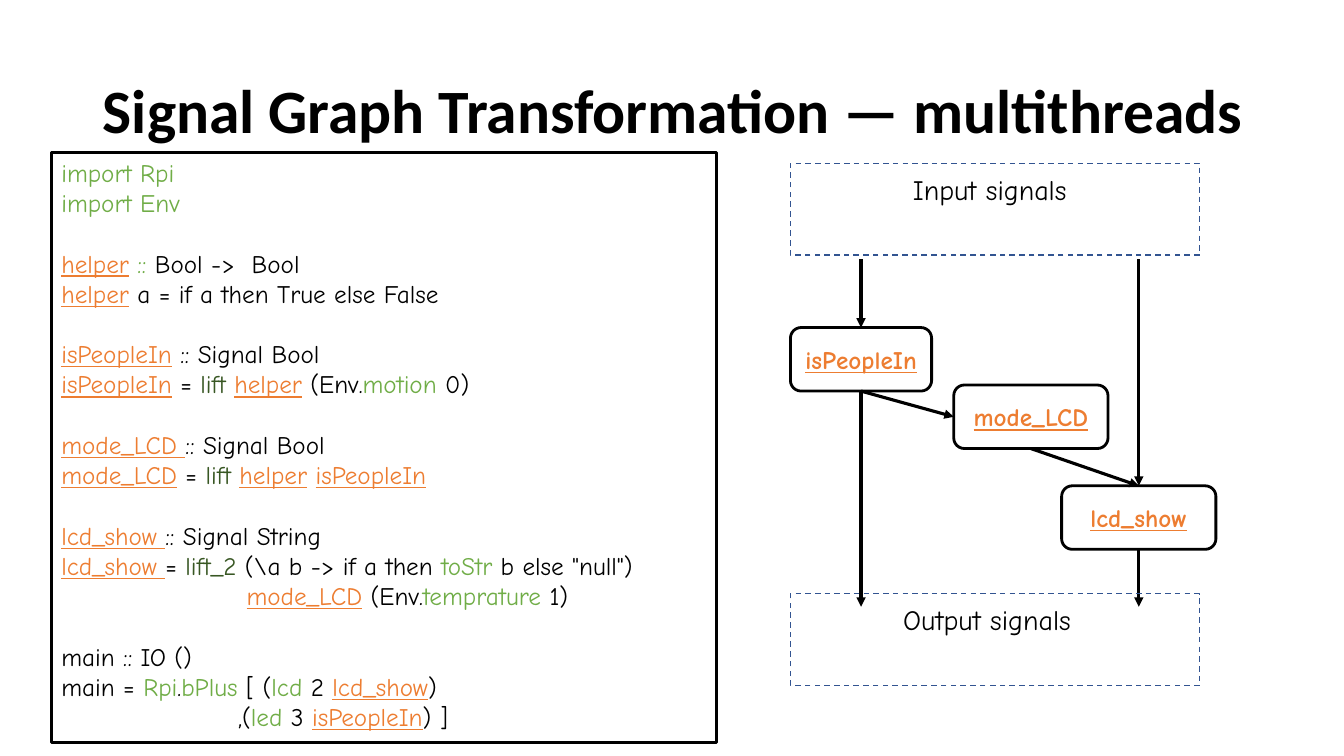
from lxml import etree
from pptx import Presentation
from pptx.dml.color import RGBColor
from pptx.enum.dml import MSO_LINE
from pptx.enum.shapes import MSO_CONNECTOR, MSO_SHAPE
from pptx.enum.text import MSO_ANCHOR, MSO_AUTO_SIZE, PP_ALIGN
from pptx.oxml.ns import qn
from pptx.util import Inches, Pt

RECT, ROUND = MSO_SHAPE.RECTANGLE, MSO_SHAPE.ROUNDED_RECTANGLE
STRAIGHT, DASH = MSO_CONNECTOR.STRAIGHT, MSO_LINE.DASH
LEFT, CENTER = PP_ALIGN.LEFT, PP_ALIGN.CENTER
TOP, MIDDLE = MSO_ANCHOR.TOP, MSO_ANCHOR.MIDDLE
NO_FIT, GROW = MSO_AUTO_SIZE.NONE, MSO_AUTO_SIZE.SHAPE_TO_FIT_TEXT

BLACK = RGBColor(0x00, 0x00, 0x00)
WHITE = RGBColor(0xFF, 0xFF, 0xFF)
ORANGE = RGBColor(0xED, 0x7D, 0x31)
GREEN = RGBColor(0x70, 0xAD, 0x47)
DARK_GREEN = RGBColor(0x38, 0x57, 0x23)
NAVY = RGBColor(0x32, 0x54, 0x91)
CODE_FONT = "Comic Neue"
CELL = Inches(1) / 12

CODE = [
    [[("import Rpi", GREEN)],
     [("import Env", GREEN)]],
    [[("helper", ORANGE), (" :: ", GREEN), ("Bool ->  Bool", BLACK)],
     [("helper", ORANGE), (" a = if a then True else False", BLACK)]],
    [[("isPeopleIn", ORANGE), (" :: Signal Bool", BLACK)],
     [("isPeopleIn", ORANGE), (" = ", BLACK), ("lift ", DARK_GREEN),
      ("helper", ORANGE), (" (Env.", BLACK), ("motion", GREEN), (" 0)", BLACK)]],
    [[("mode_LCD ", ORANGE), (":: Signal Bool", BLACK)],
     [("mode_LCD", ORANGE), (" = ", BLACK), ("lift ", DARK_GREEN),
      ("helper", ORANGE), (" ", BLACK), ("isPeopleIn", ORANGE)]],
    [[("lcd_show ", ORANGE), (":: Signal String", BLACK)],
     [("lcd_show ", ORANGE), ("= ", BLACK), ("lift_2 ", DARK_GREEN),
      ("(\\a b -> if a then ", BLACK), ("toStr", GREEN), (' b else "null")', BLACK)],
     [("                      ", BLACK), ("mode_LCD", ORANGE), (" (Env.", BLACK),
      ("temprature", GREEN), (" 1)", BLACK)]],
    [[("main :: IO ()", BLACK)],
     [("main = ", BLACK), ("Rpi", GREEN), (".", BLACK), ("bPlus", GREEN),
      (" [ (", BLACK), ("lcd", GREEN), (" 2 ", BLACK), ("lcd_show", ORANGE), (")", BLACK)],
     [("                     ,(", BLACK), ("led", GREEN), (" 3 ", BLACK),
      ("isPeopleIn", ORANGE), (") ]", BLACK)]],
]


def grid(*cells):
    return [round(c * CELL) for c in cells]


def set_font(font, size, color, name=CODE_FONT, bold=False):
    font.size, font.name, font.bold = Pt(size), name, bold
    font.color.rgb = color


def add_box(slide, kind, box, color, width, fill=None):
    sp = slide.shapes.add_shape(kind, *grid(*box))
    sp.shadow.inherit = False
    if fill is None:
        sp.fill.background()
    else:
        sp.fill.solid()
        sp.fill.fore_color.rgb = fill
    sp.line.color.rgb = color
    sp.line.width = Pt(width)
    return sp


def add_title(slide, box, text):
    sp = slide.shapes.title
    sp.left, sp.top, sp.width, sp.height = grid(*box)
    tf = sp.text_frame
    tf.text = text
    tf.auto_size, tf.vertical_anchor = NO_FIT, MIDDLE
    p = tf.paragraphs[0]
    p.alignment, p.line_spacing = LEFT, 0.9
    set_font(p.font, 44, BLACK, "Calibri", True)


def add_code(slide, box):
    sp = add_box(slide, RECT, box, BLACK, 2, WHITE)
    tf = sp.text_frame
    tf.word_wrap, tf.vertical_anchor = True, TOP
    for b, block in enumerate(CODE):
        for n, line in enumerate(block):
            p = tf.paragraphs[0] if b == n == 0 else tf.add_paragraph()
            p.alignment = LEFT
            if b and n == 0:
                p.space_before = Pt(21.6)
            p.font.size, p.font.name = Pt(18), CODE_FONT
            for text, color in line:
                r = p.add_run()
                r.text = text
                r.font.color.rgb = color
                r.font.underline = color == ORANGE


def add_panel(slide, box, text, label_w):
    x, y, w, h = box
    sp = add_box(slide, RECT, box, NAVY, 1)
    sp.line.dash_style = DASH
    label = slide.shapes.add_textbox(*grid(x + (w - label_w) / 2, y + 0.48, label_w, 5.28))
    tf = label.text_frame
    tf.word_wrap, tf.auto_size = False, GROW
    p = tf.paragraphs[0]
    p.text = text
    set_font(p.font, 20, BLACK)


def add_node(slide, box, text):
    sp = add_box(slide, ROUND, box, BLACK, 2)
    tf = sp.text_frame
    tf.word_wrap, tf.vertical_anchor = True, MIDDLE
    p = tf.paragraphs[0]
    p.text = text
    p.alignment = CENTER
    set_font(p.font, 18, ORANGE, bold=True)
    p.font.underline = True
    return sp


def add_arrow(slide, start, end, source=None, target=None, side=0):
    cx = slide.shapes.add_connector(STRAIGHT, *grid(*start, *end))
    if source is not None:
        cx.begin_connect(source, 2)
    if target is not None:
        cx.end_connect(target, side)
    cx.line.color.rgb = BLACK
    cx.line.width = Pt(2.25)
    etree.SubElement(cx.line._get_or_add_ln(), qn("a:tailEnd"), type="triangle")
    etree.SubElement(cx._element.spPr, qn("a:effectLst"))


def add_graph(slide, box):
    x, y, w, h = box
    panel_w, panel_h, node_h, wide = 48.72, 10.92, 7.56, 18.36
    people = add_node(slide, (x, y + 19.56, 16.8, node_h), "isPeopleIn")
    mode = add_node(slide, (x + 19.44, y + 26.4, wide, node_h), "mode_LCD")
    show = add_node(slide, (x + w - wide, y + 38.4, wide, node_h), "lcd_show")

    people_x, show_x = x + 8.4, x + w - wide / 2
    start_y, end_y = y + 11.4, y + h - panel_h + 1.56
    for cx, node in ((people_x, people), (show_x, show)):
        add_arrow(slide, (cx, start_y), (cx, end_y), target=node)
        add_arrow(slide, (cx, start_y), (cx, end_y), source=node)
    for source, target, side in ((people, mode, 1), (mode, show, 0)):
        add_arrow(slide, (x, y), (x, y), source, target, side)

    add_panel(slide, (x, y, panel_w, panel_h), "Input signals", 21.96)
    add_panel(slide, (x, y + h - panel_h, panel_w, panel_h), "Output signals", 24.24)


def main():
    prs = Presentation()
    prs.slide_width, prs.slide_height = Inches(13.33), Inches(7.5)
    slide = prs.slides.add_slide(prs.slide_layouts[5])
    add_code(slide, (6.12, 18.12, 79.2, 70.32))
    add_graph(slide, (94.08, 19.44, 50.64, 62.16))
    add_title(slide, (11.04, 4.8, 144.24, 17.4), "Signal Graph Transformation — multithreads")
    prs.save("out.pptx")


if __name__ == "__main__":
    main()
